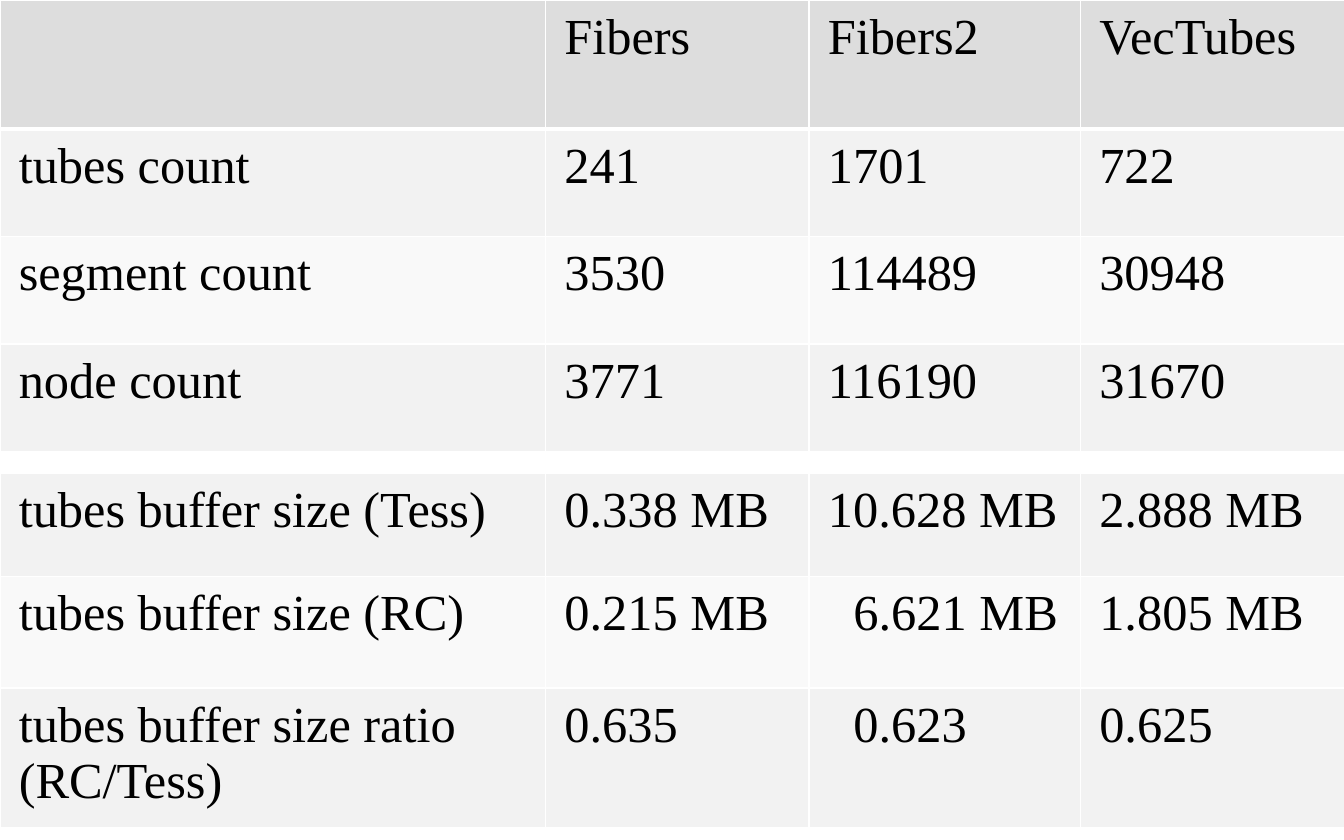
from dataclasses import dataclass

from pptx import Presentation
from pptx import util as u
from pptx.dml.color import RGBColor
from pptx.oxml.xmlchemy import OxmlElement


@dataclass(frozen=True)
class Theme:
    """Colours, type and spacing (sizes in points, margins in inches)."""
    font: str = "Times New Roman"
    body: float = 27
    tiny: float = 4
    ink: str = "000000"
    rule: str = "FFFFFF"
    header: str = "DDDDDD"
    odd: str = "F2F2F2"
    even: str = "F9F9F9"
    gap: str = "FFFFFF"
    margin_x: float = 0.14
    margin_y: float = 0.07
    digit: float = 0.19


THEME = Theme()
SLIDE_WIDTH, SLIDE_HEIGHT = 10, 6.25
COLUMN_WIDTHS = [4.06, 1.96, 2.02, 2.02]

# Row height, fill, wording; None marks the gap between the two groups.
MEASURES = [
    (0.96, THEME.header, ["", "Fibers", "Fibers2", "VecTubes"]),
    (0.8, THEME.odd, ["tubes count", "241", "1701", "722"]),
    (0.8, THEME.even, ["segment count", "3530", "114489", "30948"]),
    (0.8, THEME.odd, ["node count", "3771", "116190", "31670"]),
    (0.16, THEME.gap, None),
    (0.77, THEME.odd,
     ["tubes buffer size (Tess)", "0.338 MB", "10.628 MB", "2.888 MB"]),
    (0.83, THEME.even,
     ["tubes buffer size (RC)", "0.215 MB", "6.621 MB", "1.805 MB"]),
    (1.04, THEME.odd,
     ["tubes buffer size ratio (RC/Tess)", "0.635", "0.623", "0.625"]),
]
# Cells shifted by one digit so that decimal points line up.
DIGIT_INDENTED = {(6, 2), (7, 2)}


def write(cell, wording, *, size=THEME.body, color=THEME.ink, font=THEME.font,
          indent=0, margin_y=THEME.margin_y):
    """Write formatted wording into a cell; empty wording keeps its size."""
    cell.margin_left = u.Inches(THEME.margin_x + indent)
    cell.margin_right = u.Inches(THEME.margin_x)
    cell.margin_top = cell.margin_bottom = u.Inches(margin_y)
    paragraph = cell.text_frame.paragraphs[0]
    if not wording:
        ending = OxmlElement("a:endParaRPr")
        ending.set("sz", str(int(size * 100)))
        paragraph._p.append(ending)
        return
    run = paragraph.add_run()
    run.text = wording
    run.font.name = font
    run.font.size = u.Pt(size)
    run.font.bold = False
    run.font.color.rgb = RGBColor.from_string(color)


def rule_cell(cell, bottom=1):
    """Draw white rules on all four sides of a cell."""
    properties = cell._tc.get_or_add_tcPr()
    for side, points in (("L", 1), ("R", 1), ("T", 1), ("B", bottom)):
        line = OxmlElement(f"a:ln{side}")
        line.set("w", str(u.Pt(points)))
        fill = OxmlElement("a:solidFill")
        color = OxmlElement("a:srgbClr")
        color.set("val", THEME.rule)
        fill.append(color)
        line.append(fill)
        properties.append(line)


def paint_cell(cell, color):
    """Fill a cell with one colour."""
    cell.fill.solid()
    cell.fill.fore_color.rgb = RGBColor.from_string(color)


def add_measures(slide):
    """Add the table that compares the three data sets."""
    heights = [height for height, _, _ in MEASURES]
    frame = slide.shapes.add_table(
        len(heights), len(COLUMN_WIDTHS), 0, 0,
        u.Inches(sum(COLUMN_WIDTHS)), u.Inches(sum(heights)))
    measures = frame.table
    measures.first_row = measures.horz_banding = False
    for column, width in zip(measures.columns, COLUMN_WIDTHS):
        column.width = u.Inches(width)

    for r, (height, color, wordings) in enumerate(MEASURES):
        measures.rows[r].height = u.Inches(height)
        for c in range(len(COLUMN_WIDTHS)):
            cell = measures.cell(r, c)
            rule_cell(cell, bottom=3 if r == 0 else 1)
            paint_cell(cell, color)
            if wordings is None:
                write(cell, "", size=THEME.tiny, margin_y=0)
            else:
                indent = THEME.digit if (r, c) in DIGIT_INDENTED else 0
                write(cell, wordings[c], indent=indent)
        if wordings is None:
            measures.cell(r, 0).merge(measures.cell(r, 1))


def main():
    """Build the slide and save it."""
    deck = Presentation()
    deck.slide_width = u.Inches(SLIDE_WIDTH)
    deck.slide_height = u.Inches(SLIDE_HEIGHT)
    add_measures(deck.slides.add_slide(deck.slide_layouts[6]))
    deck.save("out.pptx")


main()
